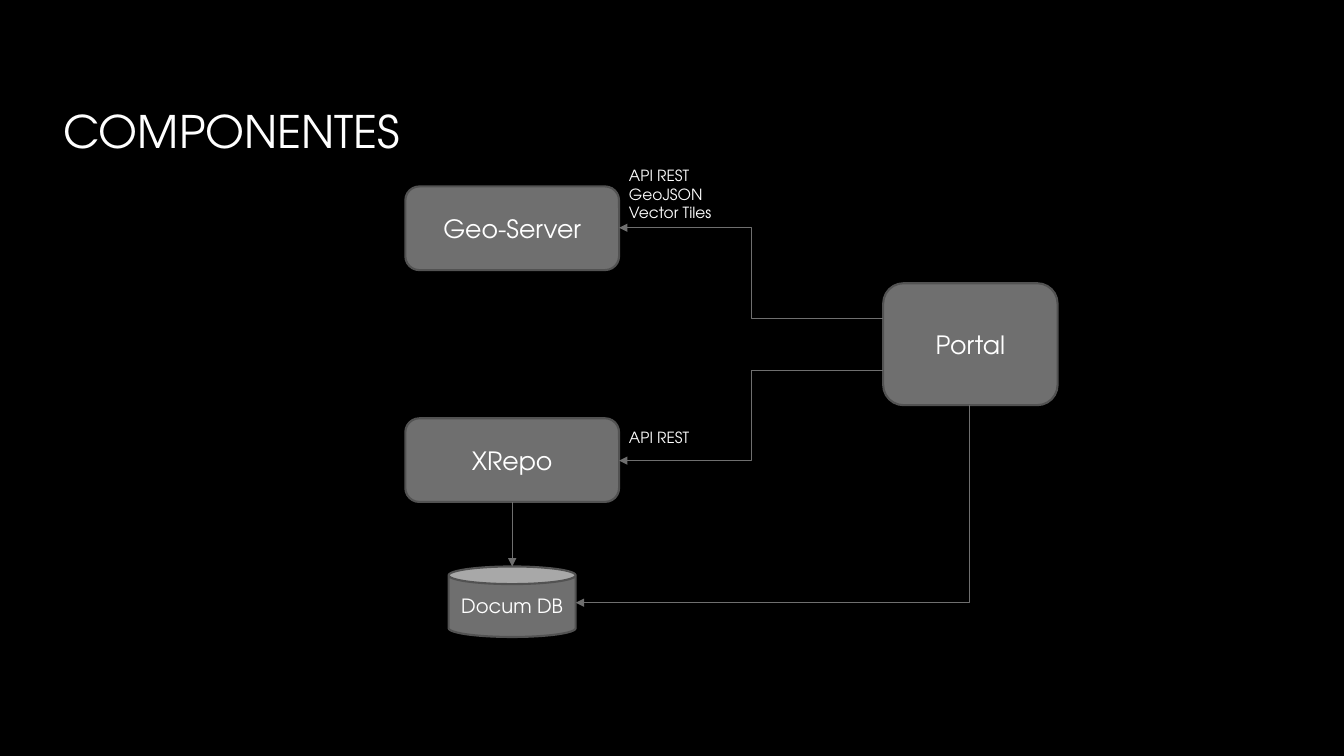
"""Builds a component diagram slide."""
from dataclasses import dataclass

from lxml import etree
from pptx import Presentation
from pptx import util as u
from pptx.dml.color import RGBColor
from pptx.enum import shapes, text
from pptx.oxml import ns


@dataclass(frozen=True)
class Theme:
    """Colours, font and type sizes of the slide."""
    font: str = "TeX Gyre Adventor"
    back: RGBColor = RGBColor(0, 0, 0)
    ink: RGBColor = RGBColor(255, 255, 255)
    ink_end: RGBColor = RGBColor(0xA6, 0xA6, 0xA6)
    grey: RGBColor = RGBColor(0x6F, 0x6F, 0x6F)
    border: RGBColor = RGBColor(0x52, 0x52, 0x52)
    title: int = 32
    box: int = 18
    store: int = 14
    label: int = 11


class Diagram:
    """Draws the elements of a diagram on one page."""

    def __init__(self, page, theme):
        """Keep the page and theme and paint the background."""
        self.page = page
        self.theme = theme
        page.background.fill.solid()
        page.background.fill.fore_color.rgb = theme.back

    def set_words(self, shape, words, size, align, anchor):
        """Put formatted words into a shape."""
        frame = shape.text_frame
        frame.text = words
        frame.word_wrap = True
        frame.vertical_anchor = anchor
        for para in frame.paragraphs:
            para.alignment = align
            for span in para.runs:
                span.font.name = self.theme.font
                span.font.size = u.Pt(size)
                span.font.color.rgb = self.theme.ink
        return frame

    def label(self, words, place, size, anchor=text.MSO_ANCHOR.TOP):
        """Add plain left-aligned text."""
        shape = self.page.shapes.add_textbox(*map(u.Inches, place))
        return self.set_words(shape, words, size, text.PP_ALIGN.LEFT, anchor)

    def title(self, words, place):
        """Add the heading with its gradient ink."""
        frame = self.label(words, place, self.theme.title, text.MSO_ANCHOR.MIDDLE)
        fill = frame.paragraphs[0].runs[0].font.fill
        fill.gradient()
        fill.gradient_angle = 267
        for stop, colour in zip(fill.gradient_stops, (self.theme.ink, self.theme.ink_end)):
            stop.color.rgb = colour

    def node(self, words, place, size, kind=shapes.MSO_SHAPE.ROUNDED_RECTANGLE):
        """Add a component with centred text."""
        shape = self.page.shapes.add_shape(kind, *map(u.Inches, place))
        shape.shadow.inherit = False
        shape.fill.solid()
        shape.fill.fore_color.rgb = self.theme.grey
        shape.line.color.rgb = self.theme.border
        shape.line.width = u.Pt(1.5)
        self.set_words(shape, words, size, text.PP_ALIGN.CENTER, text.MSO_ANCHOR.MIDDLE)
        return shape

    def arrow(self, target, source, kind=shapes.MSO_CONNECTOR.ELBOW, preset=None):
        """Add a connector whose arrowhead sits at the target point."""
        ends = map(u.Inches, (*target, *source))
        link = self.page.shapes.add_connector(kind, *ends)
        link.line.color.rgb = self.theme.grey
        link.line.width = u.Pt(0.75)
        props = link._element.spPr
        head = etree.SubElement(props.find(ns.qn("a:ln")), ns.qn("a:headEnd"))
        head.set("type", "triangle")
        etree.SubElement(props, ns.qn("a:effectLst"))
        if preset:
            props.find(ns.qn("a:prstGeom")).set("prst", preset)
        return link


def main():
    """Build and save the deck."""
    deck = Presentation()
    deck.slide_width, deck.slide_height = u.Inches(13.33), u.Inches(7.5)
    theme = Theme()
    diagram = Diagram(deck.slides.add_slide(deck.slide_layouts[6]), theme)

    diagram.title("COMPONENTES", (0.53, 0.26, 10.83, 2.08))
    diagram.node("Portal", (8.76, 2.81, 1.73, 1.21), theme.box)
    diagram.node("Geo-Server", (4.02, 1.85, 2.12, 0.83), theme.box)
    repo = diagram.node("XRepo", (4.02, 4.15, 2.12, 0.83), theme.box)
    diagram.node("Docum DB", (4.45, 5.62, 1.26, 0.7), theme.store, shapes.MSO_SHAPE.CAN)

    diagram.label("API REST\nGeoJSON\nVector Tiles", (6.14, 1.6, 1.7, 0.66), theme.label)
    diagram.label("API REST", (6.14, 4.2, 1.7, 0.29), theme.label)

    diagram.arrow((6.14, 2.26), (8.76, 3.16))
    diagram.arrow((6.14, 4.57), (8.76, 3.68))
    diagram.arrow((5.71, 5.98), (9.62, 4.02), preset="bentConnector2")
    store_link = diagram.arrow((5.08, 5.62), (5.08, 4.98), shapes.MSO_CONNECTOR.STRAIGHT)
    store_link.end_connect(repo, 2)

    deck.save("out.pptx")


if __name__ == "__main__":
    main()
